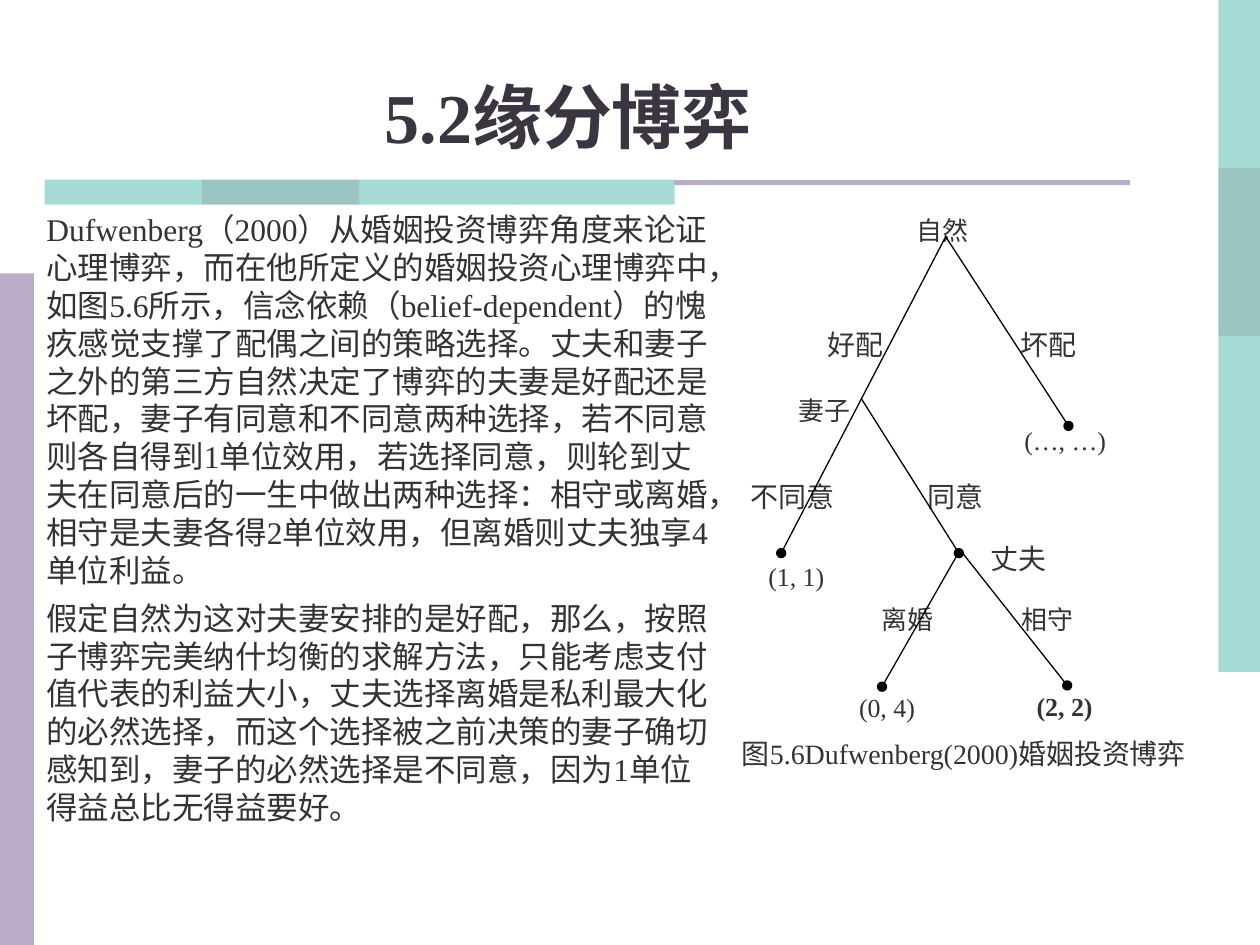
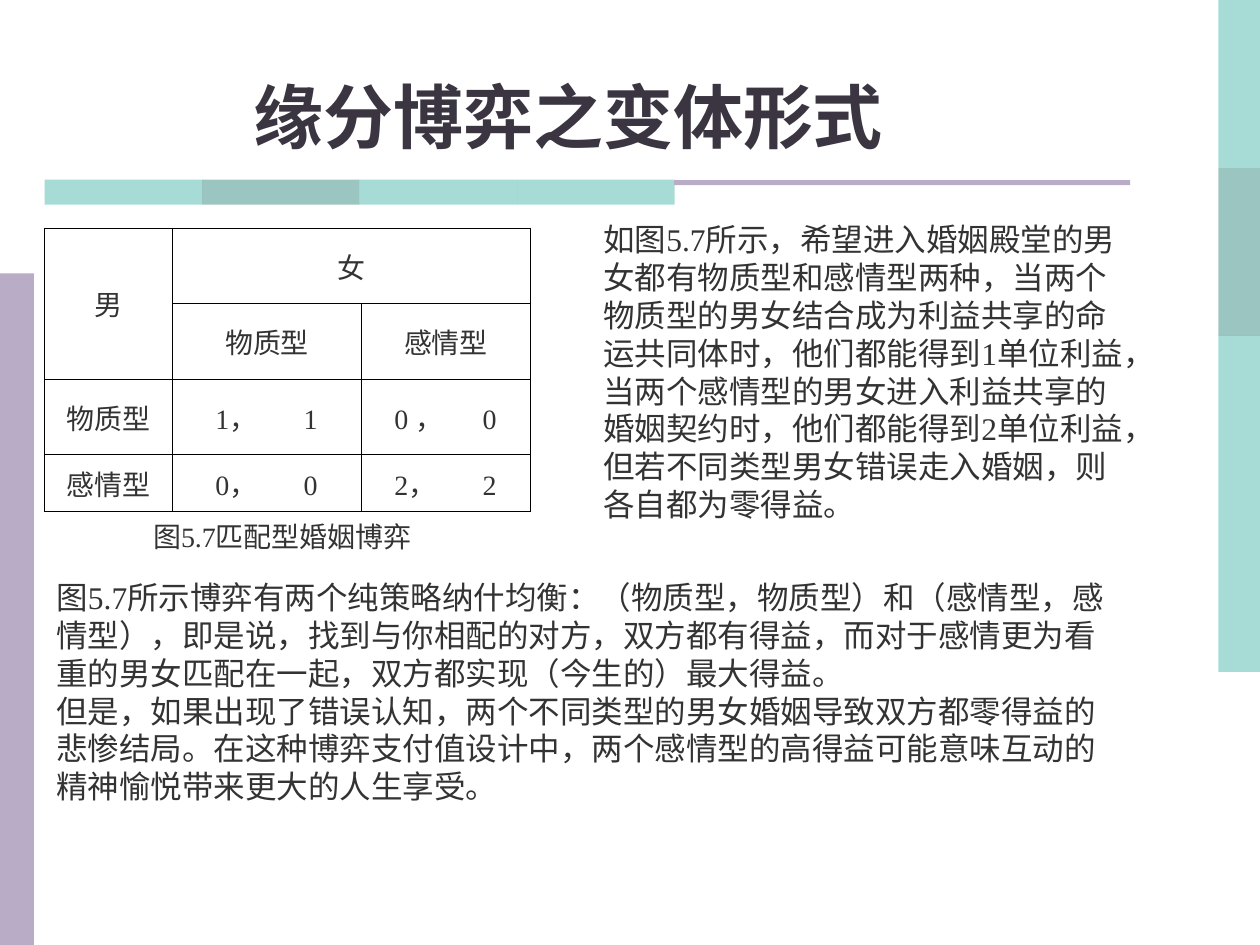
"""Build two slides on the fate game: a game tree and a payoff matrix."""
from lxml import etree
from pptx import Presentation
from pptx.dml.color import RGBColor
from pptx.enum.shapes import MSO_CONNECTOR, MSO_SHAPE
from pptx.enum.text import MSO_ANCHOR, PP_ALIGN
from pptx.oxml.ns import qn
from pptx.util import Inches, Pt

LEFT, MID, RIGHT = PP_ALIGN.LEFT, PP_ALIGN.CENTER, PP_ALIGN.RIGHT
JUST = PP_ALIGN.JUSTIFY
TOP, CORE, BASE = MSO_ANCHOR.TOP, MSO_ANCHOR.MIDDLE, MSO_ANCHOR.BOTTOM
RECT, LINE = MSO_SHAPE.RECTANGLE, MSO_CONNECTOR.STRAIGHT
FONT = "Times New Roman"
INK, DARK, WHITE, BLACK = "333333", "3A3541", "FFFFFF", "000000"
TEAL, DEEP, LILAC = "51B9AF", "398D85", "B8ACC6"


def block(slide, at, fill, alpha=100):
    """Add a plain filled rectangle."""
    shape = slide.shapes.add_shape(RECT, *map(Inches, at))
    shape.shadow.inherit = False
    shape.fill.solid()
    shape.fill.fore_color.rgb = RGBColor.from_string(fill)
    shape.line.fill.background()
    if alpha < 100:
        tint = shape._element.spPr.find(qn("a:solidFill"))[0]
        etree.SubElement(tint, qn("a:alpha"), val=str(alpha * 1000))
    return shape


def write(frame, text, size, align=LEFT, anchor=TOP, color=INK, bold=False, gap=0):
    """Fill a text frame and format its paragraphs."""
    frame.word_wrap = True
    frame.vertical_anchor = anchor
    frame.text = text
    for i, para in enumerate(frame.paragraphs):
        para.alignment = align
        para.space_before = Pt(gap if i else 0)
        for run in para.runs:
            run.font.name = FONT
            run.font.size = Pt(size)
            run.font.bold = bold
            run.font.color.rgb = RGBColor.from_string(color)


titles = ["5.2缘分博弈", "缘分博弈之变体形式"]
notes = [
    [
        ((5.79, 5.8, 3.78, 0.64), 16, LEFT, TOP, 0,
         "图5.6Dufwenberg(2000)婚姻投资博弈"),
        ((0.27, 1.62, 5.53, 4.99), 18, LEFT, TOP, 6,
         "Dufwenberg（2000）从婚姻投资博弈角度来论证心理博弈，而在他所定义的婚姻投资心理博弈中，"
         "如图5.6所示，信念依赖（belief-dependent）的愧疚感觉支撑了配偶之间的策略选择。"
         "丈夫和妻子之外的第三方自然决定了博弈的夫妻是好配还是坏配，妻子有同意和不同意两种选择，"
         "若不同意则各自得到1单位效用，若选择同意，则轮到丈夫在同意后的一生中做出两种选择："
         "相守或离婚，相守是夫妻各得2单位效用，但离婚则丈夫独享4单位利益。\n"
         "假定自然为这对夫妻安排的是好配，那么，按照子博弈完美纳什均衡的求解方法，"
         "只能考虑支付值代表的利益大小，丈夫选择离婚是私利最大化的必然选择，"
         "而这个选择被之前决策的妻子确切感知到，妻子的必然选择是不同意，因为1单位得益总比无得益要好。"),
    ],
    [
        ((0.35, 4.07, 3.78, 0.37), 16, MID, CORE, 0, "图5.7匹配型婚姻博弈"),
        ((0.35, 4.54, 8.66, 1.9), 18, LEFT, TOP, 0,
         "图5.7所示博弈有两个纯策略纳什均衡：（物质型，物质型）和（感情型，感情型），"
         "即是说，找到与你相配的对方，双方都有得益，而对于感情更为看重的男女匹配在一起，"
         "双方都实现（今生的）最大得益。\n"
         "但是，如果出现了错误认知，两个不同类型的男女婚姻导致双方都零得益的悲惨结局。"
         "在这种博弈支付值设计中，两个感情型的高得益可能意味互动的精神愉悦带来更大的人生享受。"),
        ((4.69, 1.7, 4.33, 2.5), 18, LEFT, TOP, 0,
         "如图5.7所示，希望进入婚姻殿堂的男女都有物质型和感情型两种，"
         "当两个物质型的男女结合成为利益共享的命运共同体时，他们都能得到1单位利益，"
         "当两个感情型的男女进入利益共享的婚姻契约时，他们都能得到2单位利益，"
         "但若不同类型男女错误走入婚姻，则各自都为零得益。"),
    ],
]
labels = [
    ("不同意", 5.94, 3.57, 0.7, 0.53, 16, 1.9, MID),
    ("同意", 7.19, 3.57, 0.78, 0.53, 16, 1.9, MID),
    ("(2, 2)", 8.13, 5.31, 0.64, 0.41, 14.8, 1.7, MID),
    ("坏配", 8.1, 2.39, 0.6, 0.46, 16, 1.8, JUST),
    ("(…, …)", 8.13, 3.2, 0.73, 0.42, 14.8, 1.7, JUST),
    ("妻子", 5.9, 2.96, 0.85, 0.42, 14.8, 1.7, RIGHT),
    ("(1, 1)", 6.01, 4.28, 0.62, 0.4, 14.8, 1.7, MID),
    ("好配", 6.08, 2.39, 0.93, 0.46, 16, 1.8, RIGHT),
    ("自然", 7.01, 1.53, 0.94, 0.42, 14.8, 1.7, MID),
    ("(0, 4)", 6.72, 5.32, 0.64, 0.41, 14.8, 1.7, MID),
    ("丈夫", 7.69, 4.06, 0.78, 0.53, 16, 1.9, MID),
    ("离婚", 6.88, 4.62, 0.64, 0.41, 14.8, 1.7, MID),
    ("相守", 7.99, 4.62, 0.64, 0.41, 14.8, 1.7, MID),
]
edges = [
    (7.51, 1.87, 6.2, 4.39),
    (7.5, 1.87, 8.48, 3.38),
    (6.84, 3.17, 7.61, 4.39),
    (7.6, 4.4, 7, 5.45),
    (7.64, 4.39, 8.47, 5.44),
]
grid = [
    ["男", "女", ""],
    ["", "物质型", "感情型"],
    ["物质型", "1，\t1", "0 ，\t0"],
    ["感情型", "0，\t0", "2，\t2"],
]
widths, heights = [1.02, 1.5, 1.34], [0.6, 0.6, 0.6, 0.45]
pads = [0.1, 0.34, 0.26]

deck = Presentation()
deck.slide_width, deck.slide_height = Inches(10), Inches(7.5)
slides = []
for title in titles:
    slide = deck.slides.add_slide(deck.slide_layouts[6])
    slides.append(slide)
    for i, shade in enumerate([TEAL, DEEP, TEAL, TEAL]):
        block(slide, (9.67, i * 4 / 3, 0.33, 4 / 3), shade, 50)
        block(slide, (0.355 + i * 1.25, 1.425, 1.25, 0.2), shade, 50)
    block(slide, (0, 2.17, 0.27, 5.33), LILAC)
    block(slide, (5.35, 1.43, 3.62, 0.04), LILAC)
    box = slide.shapes.add_textbox(*map(Inches, (0, 0.44, 9.02, 0.86)))
    write(box.text_frame, title, 40, MID, BASE, DARK, True)

tree, matrix = slides
for text, x, y, w, h, size, lead, align in labels:
    tag = block(tree, (x, y, w, h), WHITE)
    tag.line.color.rgb = RGBColor.from_string(WHITE)
    tag.line.width = Pt(0.75)
    frame = tag.text_frame
    frame.margin_left = frame.margin_right = 0
    frame.margin_top = frame.margin_bottom = 0
    write(frame, text, size, align, bold=text == "(2, 2)")
    frame.paragraphs[0].line_spacing = lead

for edge in edges:
    link = tree.shapes.add_connector(LINE, *map(Inches, edge))
    link.line.color.rgb = RGBColor.from_string(BLACK)
    link.line.width = Pt(0.75)
    props = link._element.spPr
    etree.SubElement(props.find(qn("a:ln")), qn("a:tailEnd"), type="oval")
    etree.SubElement(props, qn("a:effectLst"))

spot = map(Inches, (0.35, 1.81, sum(widths), sum(heights)))
table = matrix.shapes.add_table(len(heights), len(widths), *spot).table
for col, width in zip(table.columns, widths):
    col.width = Inches(width)
for row, height in zip(table.rows, heights):
    row.height = Inches(height)
table.cell(0, 0).merge(table.cell(1, 0))
table.cell(0, 1).merge(table.cell(0, 2))
for r, words in enumerate(grid):
    for c, word in enumerate(words):
        cell = table.cell(r, c)
        props = cell._tc.get_or_add_tcPr()
        for side in ("a:lnL", "a:lnR", "a:lnT", "a:lnB"):
            edge = etree.SubElement(props, qn(side), w=str(Pt(0.45)))
            fill = etree.SubElement(edge, qn("a:solidFill"))
            etree.SubElement(fill, qn("a:srgbClr"), val=BLACK)
        cell.fill.background()
        cell.vertical_anchor = CORE
        if not word:
            continue
        pair = "\t" in word
        if pair:
            cell.margin_left = Inches(pads[c])
        write(cell.text_frame, word, 16, LEFT if pair else MID, CORE)
        if pair:
            para = cell.text_frame.paragraphs[0]
            stops = etree.SubElement(para._p.get_or_add_pPr(), qn("a:tabLst"))
            etree.SubElement(stops, qn("a:tab"), pos=str(Inches(0.7)), algn="l")

for slide, group in zip(slides, notes):
    for at, size, align, anchor, gap, text in group:
        box = slide.shapes.add_textbox(*map(Inches, at))
        write(box.text_frame, text, size, align, anchor, gap=gap)

deck.save("out.pptx")
